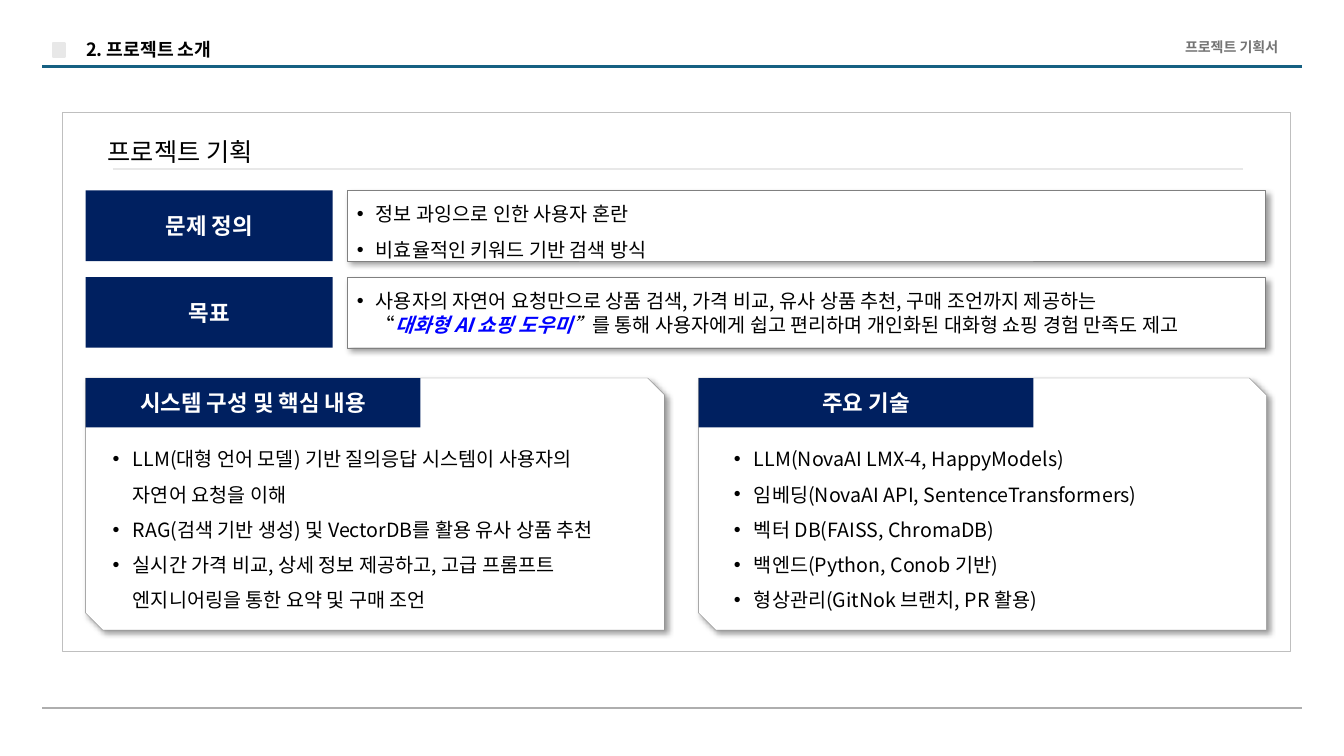
import pptx
import pptx.util
import pptx.dml.color
import pptx.enum.shapes
import pptx.enum.text
import pptx.oxml
import pptx.oxml.ns
import lxml.etree

THEME = {
    "font": "Noto Sans CJK KR", "latin": "Roboto",
    "navy": "002060", "white": "FFFFFF", "black": "000000", "accent": "0001FF",
    "teal": "156082", "border": "808080", "frame": "BFBFBF", "footer": "AEAEAE",
    "pale": "E8E8E8", "grey": "747474",
    "caption": 10, "header": 13, "title": 18, "label": 16, "body": 14,
}

HEADER = "2. 프로젝트 소개"
DOCUMENT = "프로젝트 기획서"
TITLE = "프로젝트 기획"
RULES = [
    (0.42, 12.91, 0.66, "teal"),
    (0.42, 12.91, 7.02, "footer"),
    (1.12, 12.33, 1.68, "pale"),
]
SUMMARY = [
    ("문제 정의", 1.5, ["정보 과잉으로 인한 사용자 혼란", "비효율적인 키워드 기반 검색 방식"]),
    ("목표", 1, [[
        ("사용자의 자연어 요청만으로 상품 검색, 가격 비교, 유사 상품 추천, 구매 조언까지 제공하는\n“", {}),
        ("대화형 AI 쇼핑 도우미", {"color": "accent", "bold": True, "italic": True}),
        ("”", {"italic": True}),
        ("를 통해 ", {}),
        ("사용자에게 쉽고 편리하며 개인화된 대화형 쇼핑 경험 만족도 제고", {"font": "latin"}),
    ]]),
]
PANELS = [
    ("시스템 구성 및 핵심 내용", (0.85, 5.74), (1.02, 5.57), [
        "LLM(대형 언어 모델) 기반 질의응답 시스템이 사용자의 \n자연어 요청을 이해",
        "RAG(검색 기반 생성) 및 VectorDB를 활용 유사 상품 추천",
        "실시간 가격 비교, 상세 정보 제공하고, 고급 프롬프트 엔지니어링을 통한 요약 및 구매 조언",
    ]),
    ("주요 기술", (6.93, 5.63), (7.18, 5.04), [
        "LLM(NovaAI LMX-4, HappyModels)",
        "임베딩(NovaAI API, SentenceTransformers)",
        "벡터 DB(FAISS, ChromaDB)",
        "백엔드(Python, Conob 기반)",
        "형상관리(GitNok 브랜치, PR 활용)",
    ]),
]

SHAPE = pptx.enum.shapes.MSO_SHAPE
ANCHOR = pptx.enum.text.MSO_ANCHOR
ALIGN = pptx.enum.text.PP_ALIGN
Inches = pptx.util.Inches

deck = pptx.Presentation()
deck.slide_width, deck.slide_height = Inches(13.33), Inches(7.5)
page = deck.slides.add_slide(deck.slide_layouts[6])


def color(name):
    return pptx.dml.color.RGBColor.from_string(THEME[name])


def add_element(parent, tag, **attributes):
    return lxml.etree.SubElement(parent, pptx.oxml.ns.qn(tag), **attributes)


def add_run(para, text, size, color_name, bold=False, italic=False, font="font"):
    for index, part in enumerate(text.split("\n")):
        if index:
            para.add_line_break()
        span = para.add_run()
        span.text = part
        span.font.name = THEME[font]
        span.font.size = pptx.util.Pt(THEME[size])
        span.font.bold, span.font.italic = bold, italic
        span.font.color.rgb = color(color_name)
        east_asian = pptx.oxml.parse_xml(
            f'<a:ea {pptx.oxml.ns.nsdecls("a")} typeface="{THEME["font"]}"/>')
        span.font._element.find(pptx.oxml.ns.qn("a:latin")).addnext(east_asian)


def write_line(box, text, size, color_name, bold=False, align=ALIGN.CENTER,
               anchor=ANCHOR.MIDDLE, spacing=1):
    frame = box.text_frame
    frame.word_wrap, frame.vertical_anchor = True, anchor
    para = frame.paragraphs[0]
    para.alignment, para.line_spacing = align, spacing
    add_run(para, text, size, color_name, bold)


def write_bullets(box, items, indent, spacing, anchor):
    frame = box.text_frame
    frame.word_wrap, frame.vertical_anchor = True, anchor
    for index, item in enumerate(items):
        para = frame.add_paragraph() if index else frame.paragraphs[0]
        para.alignment, para.line_spacing = ALIGN.LEFT, spacing
        properties = para._p.get_or_add_pPr()
        properties.set("marL", str(Inches(indent)))
        properties.set("indent", str(-Inches(indent)))
        add_element(properties, "a:buFont", typeface="Arial")
        add_element(properties, "a:buChar", char="•")
        for text, style in [(item, {})] if isinstance(item, str) else item:
            style = {"color": "black", **style}
            add_run(para, text, "body", style.pop("color"), **style)


def add_box(place, fill=None, line=None, width=0.25, kind=SHAPE.RECTANGLE, raised=False):
    box = page.shapes.add_shape(kind, *map(Inches, place))
    box.shadow.inherit = False
    if fill:
        box.fill.solid()
        box.fill.fore_color.rgb = color(fill)
    else:
        box.fill.background()
    if line:
        box.line.color.rgb = color(line)
        box.line.width = pptx.util.Pt(width)
    else:
        box.line.fill.background()
    if raised:
        effects = box._element.spPr.find(pptx.oxml.ns.qn("a:effectLst"))
        shadow = add_element(effects, "a:outerShdw", blurRad=str(pptx.util.Pt(4)),
                             dist=str(pptx.util.Pt(3)), dir=str(45 * 60000),
                             algn="tl", rotWithShape="0")
        tint = add_element(shadow, "a:srgbClr", val=THEME["black"])
        add_element(tint, "a:alpha", val="40000")
    return box


def add_text(place):
    return page.shapes.add_textbox(*map(Inches, place))


def add_rule(left, right, top, color_name):
    rule = page.shapes.add_connector(
        pptx.enum.shapes.MSO_CONNECTOR.STRAIGHT,
        Inches(left), Inches(top), Inches(right), Inches(top))
    rule.line.color.rgb = color(color_name)
    rule.line.width = pptx.util.Pt(1.5)
    add_element(rule._element.spPr, "a:effectLst")


add_box((0.62, 1.11, 12.18, 5.35), line="frame")
for rule_place in RULES:
    add_rule(*rule_place)
write_line(add_text((11.16, 0.2, 2.11, 0.4)), DOCUMENT, "caption", "grey", True,
           anchor=ANCHOR.BOTTOM, spacing=0.9)
write_line(add_text((0.42, 0.25, 2.11, 0.4)), HEADER, "header", "black", True,
           anchor=ANCHOR.BOTTOM, spacing=0.9)
write_line(add_text((0.97, 1.3, 2.73, 0.4)), TITLE, "title", "black",
           align=ALIGN.LEFT, anchor=ANCHOR.TOP)
add_box((0.53, 0.43, 0.11, 0.14), "pale", "pale", 1.5)

for row, (label, spacing, items) in enumerate(SUMMARY):
    top = 1.89 + row * 0.86
    write_line(add_box((0.85, top, 2.45, 0.7), "navy"), label, "label", "white", True)
    detail = add_box((3.44, top, 9.11, 0.7), "white", "border", raised=True)
    write_bullets(detail, items, 0.19, spacing, ANCHOR.MIDDLE)

for label, (left, width), (text_left, text_width), items in PANELS:
    panel = add_box((left, 3.75, width, 2.5), "white", "border",
                    kind=SHAPE.SNIP_2_DIAG_RECTANGLE, raised=True)
    panel.adjustments[0], panel.adjustments[1] = 0, 0.067
    write_line(add_box((left, 3.75, 3.32, 0.49), "navy"), label, "label", "white", True)
    write_bullets(add_text((text_left, 4.27, text_width, 1.82)), items, 0.2, 1.5, ANCHOR.TOP)

deck.save("out.pptx")
